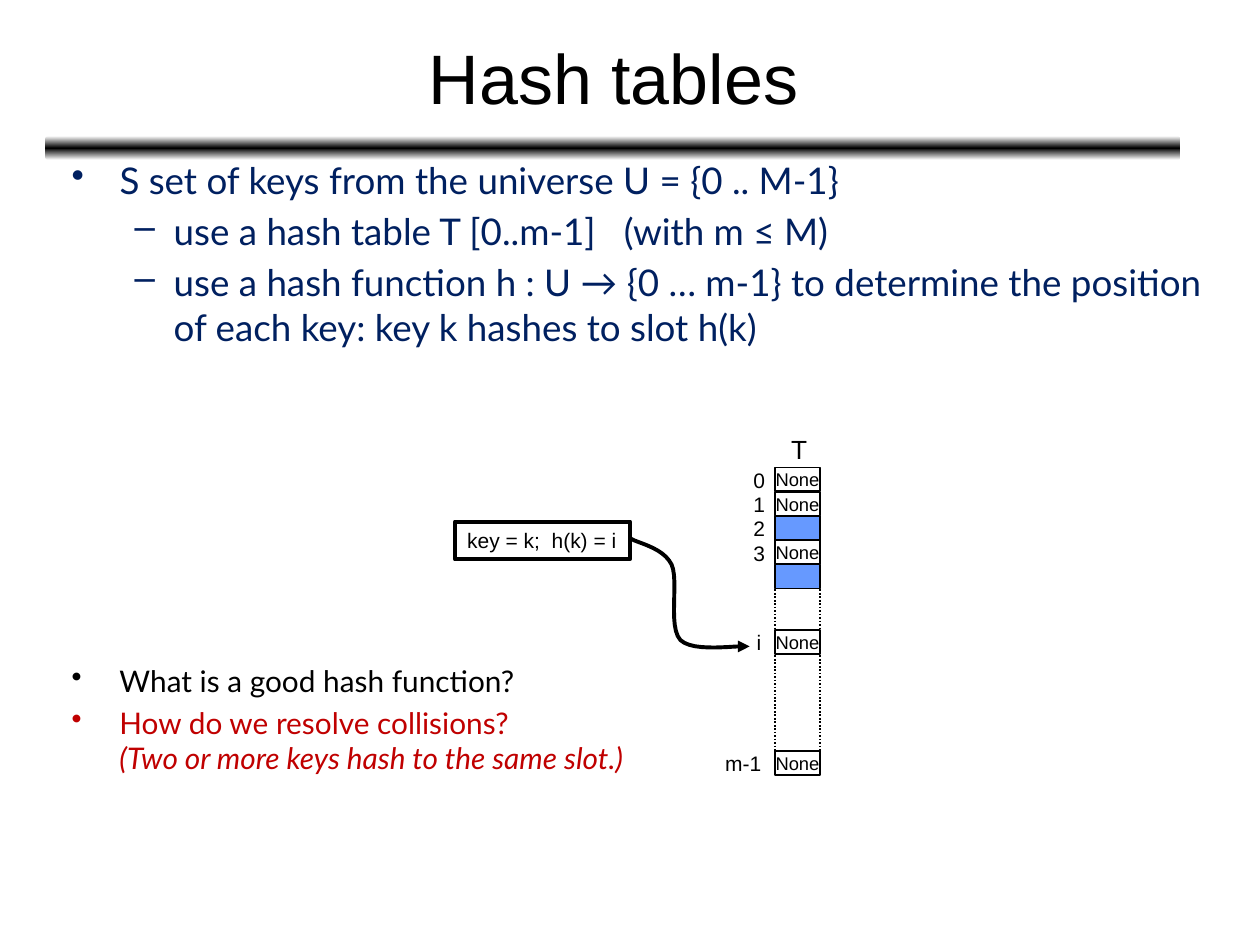
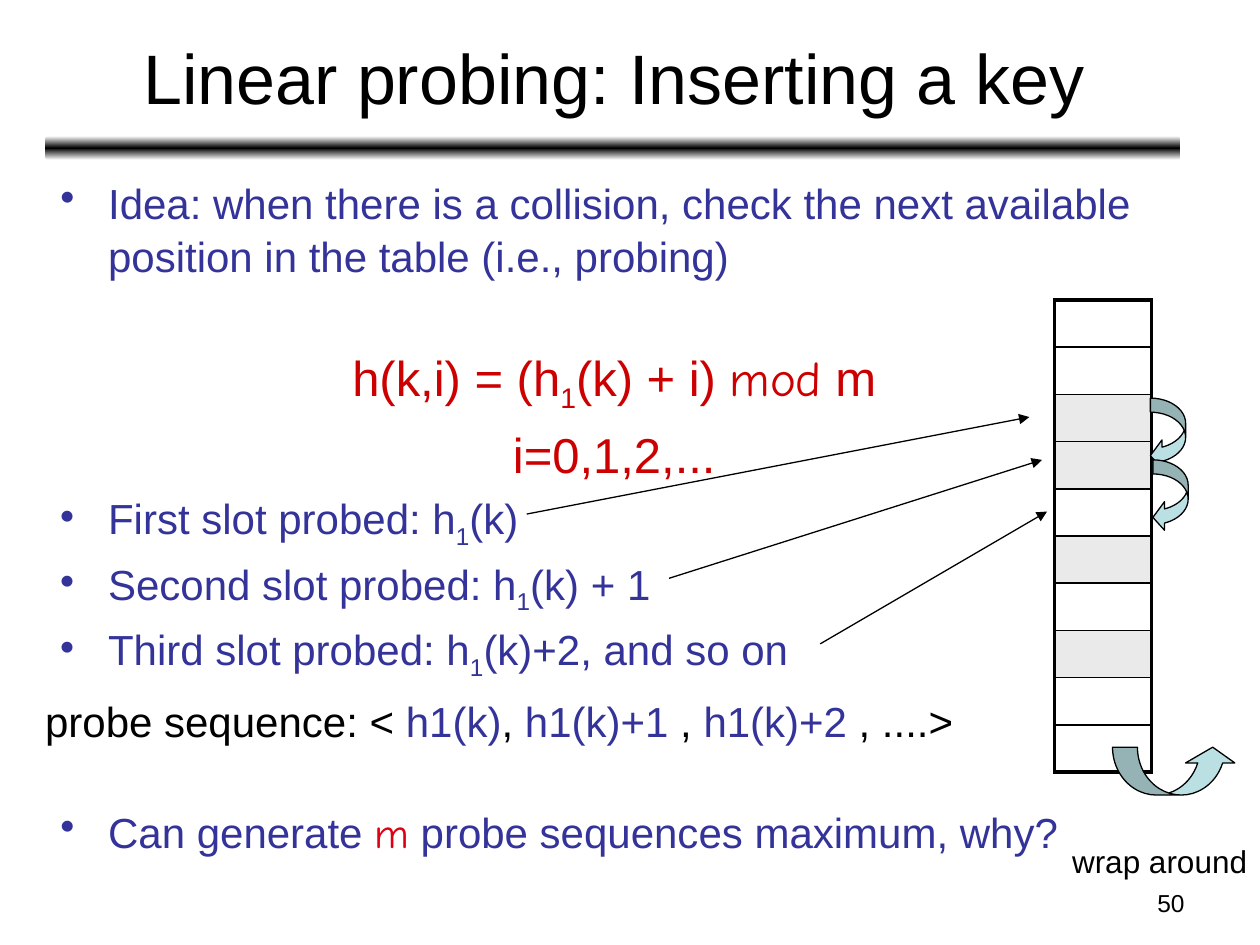
"""Build two lecture slides on hash tables and linear probing."""
import copy
import math
from dataclasses import dataclass

import pptx
import pptx.chart.data
import pptx.dml.color
import pptx.enum.dml
import pptx.enum.shapes
import pptx.enum.text
import pptx.oxml
import pptx.oxml.ns
import pptx.util
from lxml import etree

Inches = pptx.util.Inches
Pt = pptx.util.Pt
RGB = pptx.dml.color.RGBColor.from_string
Align = pptx.enum.text.PP_ALIGN
Anchor = pptx.enum.text.MSO_ANCHOR
Preset = pptx.enum.shapes.MSO_SHAPE
STRAIGHT = pptx.enum.shapes.MSO_CONNECTOR.STRAIGHT
qn = pptx.oxml.ns.qn


@dataclass(frozen=True)
class Theme:
    black: str = "000000"
    white: str = "FFFFFF"
    navy: str = "002060"
    indigo: str = "333399"
    question: str = "C00000"
    formula: str = "CC0000"
    accent: str = "DD0111"
    occupied: str = "6699FF"
    probed: str = "EAEAEA"
    arrow: str = "BBE0E3"
    sans: str = "Arial"
    body: str = "Lato"
    comic: str = "Comic Neue"
    title_size: float = 40
    formula_size: float = 28
    bullet_size: float = 24
    lead_size: float = 21
    note_size: float = 18
    question_size: float = 17
    heading_size: float = 15
    number_size: float = 14
    label_size: float = 12
    slot_size: float = 10.5


theme = Theme()
BULLET_INDENTS = {"•": (0.38, -0.38), "–": (0.81, -0.31)}


def add_text(slide, box, paragraphs, size, color=theme.black, font=theme.sans, align=Align.LEFT,
             bullets="", anchor=Anchor.TOP, wrap=True, inset=0.1, spacing=None, preset=None):
    place = [Inches(length) for length in box]
    shape = slide.shapes.add_shape(preset, *place) if preset else slide.shapes.add_textbox(*place)
    frame = shape.text_frame
    frame.word_wrap = wrap
    frame.vertical_anchor = anchor
    frame.margin_left = frame.margin_right = Inches(inset)
    frame.margin_top = frame.margin_bottom = Inches(inset / 2)
    for index, runs in enumerate(paragraphs):
        paragraph = frame.add_paragraph() if index else frame.paragraphs[0]
        paragraph.alignment = align
        paragraph.line_spacing = spacing
        if index:
            paragraph.space_before = Pt(size * 0.2)
        if bullets:
            properties = paragraph._p.get_or_add_pPr()
            margin, indent = BULLET_INDENTS[bullets[index]]
            properties.set("marL", str(Inches(margin)))
            properties.set("indent", str(Inches(indent)))
            etree.SubElement(properties, qn("a:buChar"), char=bullets[index])
        paragraph.font.size = Pt(size)
        paragraph.font.name = font
        paragraph.font.color.rgb = RGB(color)
        for text, changes in [(run, {}) if isinstance(run, str) else run for run in runs]:
            if text == "\n":
                paragraph.add_line_break()
                continue
            run = paragraph.add_run()
            run.text = text
            if "color" in changes:
                run.font.color.rgb = RGB(changes["color"])
            if "font" in changes:
                run.font.name = changes["font"]
            if "italic" in changes:
                run.font.italic = True
            if "baseline" in changes:
                run._r.get_or_add_rPr().set("baseline", changes["baseline"])
    return shape


def style_line(shape, width, arrow=False, dash=None):
    shape.line.color.rgb = RGB(theme.black)
    shape.line.width = Pt(width)
    if dash:
        shape.line.dash_style = dash
    if arrow:
        etree.SubElement(shape.line._get_or_add_ln(), qn("a:tailEnd"), type="triangle")
    etree.SubElement(shape._element.spPr, qn("a:effectLst"))


presentation = pptx.Presentation()
presentation.slide_width = Inches(10)
presentation.slide_height = Inches(7.5)

slides = []
for title in ("Hash tables", "Linear probing: Inserting a key"):
    slide = presentation.slides.add_slide(presentation.slide_layouts[6])
    band = slide.shapes.add_shape(Preset.ROUNDED_RECTANGLE, Inches(0.36), Inches(1.08), Inches(9.01), Inches(0.19))
    band.shadow.inherit = False
    band.line.fill.background()
    band.fill.gradient()
    band.fill.gradient_angle = 90
    stop_list = band._element.spPr.find(".//" + qn("a:gsLst"))
    stop_list.append(copy.deepcopy(stop_list[0]))
    for stop, position, color in zip(band.fill.gradient_stops, (0, 0.5, 1), (theme.white, theme.black, theme.white)):
        stop.position = position
        stop.color.rgb = RGB(color)
    add_text(slide, (0.37, 0.11, 9, 0.99), [[title]], theme.title_size, align=Align.CENTER, anchor=Anchor.MIDDLE)
    slides.append(slide)
hashing, probing = slides

add_text(hashing, (0.47, 1.2, 9.29, 1.7), [
    ["S set of keys from the universe U = {0 .. M-1}"],
    ["use a hash table T [0..m-1]   (with m ≤ M)"],
    ["use a hash function h : U → {0 … m-1} to determine the position of each key: key k hashes to slot h(k)"],
], theme.lead_size, theme.navy, theme.body, bullets="•––")
add_text(hashing, (0.47, 5.21, 5, 1.1), [
    [("What is a good hash function?", {"color": theme.black})],
    ["How do we resolve collisions?", "\n", ("(Two or more keys hash to the same slot.)", {"italic": True})],
], theme.question_size, theme.question, theme.body, bullets="••")

slot_left, slot_width, slot_height, first_slot = 6.15, 0.36, 0.19, 3.71
for x in (slot_left, slot_left + slot_width):
    edge = hashing.shapes.add_connector(STRAIGHT, Inches(x), Inches(4.65), Inches(x), Inches(5.98))
    style_line(edge, 1, dash=pptx.enum.dml.MSO_LINE.ROUND_DOT)
add_text(hashing, (6.18, 3.39, 0.29, 0.35), [["T"]], theme.heading_size, wrap=False)
slot_tops = [first_slot + 0.1925 * row for row in range(5)] + [5, 5.96]
for top, label, occupied in zip(slot_tops, ("0", "1", "2", "3", "", "i", "m-1"), (0, 0, 1, 0, 1, 0, 0)):
    slot = add_text(hashing, (slot_left, top, slot_width, slot_height), [] if occupied else [["None"]],
                    theme.slot_size, align=Align.CENTER, anchor=Anchor.MIDDLE, wrap=False, inset=0,
                    preset=Preset.RECTANGLE)
    slot.fill.solid()
    slot.fill.fore_color.rgb = RGB(theme.occupied if occupied else theme.white)
    style_line(slot, 1)
    if label:
        label_left = 5.18 if label.isdigit() else 5.15
        add_text(hashing, (label_left, top - 0.05, 0.99, 0.3), [[label]], theme.label_size, align=Align.RIGHT)

key_box = add_text(hashing, (3.61, 4.14, 1.39, 0.3), [["key = k;  h(k) = i"]], theme.label_size, wrap=False,
                   preset=Preset.RECTANGLE)
key_box.fill.background()
style_line(key_box, 2.25)

curves = [
    [(5, 4.27), (5.05, 4.31), (5.26, 4.34), (5.33, 4.48)],
    [(5.33, 4.48), (5.39, 4.61), (5.3, 4.97), (5.4, 5.08)],
    [(5.4, 5.08), (5.51, 5.18), (5.83, 5.12), (5.95, 5.13)],
]
steps = 12
curve_points = []
for controls in curves:
    for step in range(1, steps + 1):
        t = step / steps
        weights = [math.comb(3, k) * t ** k * (1 - t) ** (3 - k) for k in range(4)]
        curve_points.append(tuple(
            Inches(sum(weight * point[axis] for weight, point in zip(weights, controls))) for axis in (0, 1)))
builder = hashing.shapes.build_freeform(Inches(5), Inches(4.27))
builder.add_line_segments(curve_points, close=False)
hash_arrow = builder.convert_to_shape()
hash_arrow.fill.background()
style_line(hash_arrow, 2.25, arrow=True)

subscript = ("1", {"baseline": "-25000"})
add_text(probing, (0.38, 1.34, 8.99, 0.95),
         [["Idea: when there is a collision, check the next available position in the table (i.e., probing)"]],
         theme.bullet_size, theme.indigo, bullets="•", spacing=1.05)
add_text(probing, (0.38, 2.71, 8.99, 1.15), [
    ["h(k,i) = (h", subscript, "(k) + i) ", ("mod", {"font": theme.comic}), " m"],
    ["i=0,1,2,..."],
], theme.formula_size, theme.formula, align=Align.CENTER)
add_text(probing, (0.38, 3.86, 7, 1.6), [
    ["First slot probed: h", subscript, "(k)"],
    ["Second slot probed: h", subscript, "(k) + 1"],
    ["Third slot probed: h", subscript, "(k)+2, and so on"],
], theme.bullet_size, theme.indigo, bullets="•••")
add_text(probing, (0.38, 6.35, 8.99, 0.5),
         [["Can generate ", ("m", {"font": theme.comic, "color": theme.accent}), " probe sequences maximum, why?"]],
         theme.bullet_size, theme.indigo, bullets="•")
key_color = {"color": theme.indigo}
add_text(probing, (0.26, 5.47, 7.41, 0.5),
         [["probe sequence: < ", ("h1(k)", key_color), ", ", ("h1(k)+1", key_color), " , ",
           ("h1(k)+2", key_color), " , ....>"]], theme.bullet_size, wrap=False)

row_count = 10
table = probing.shapes.add_table(row_count, 1, Inches(8.37), Inches(2.38), Inches(0.77), Inches(3.75)).table
table.first_row = table.horz_banding = False
for index, row in enumerate(table.rows):
    row.height = Inches(3.75 / row_count)
    cell = row.cells[0]
    cell.margin_top = cell.margin_bottom = 0
    top_width = 2.25 if index == 0 else 1
    bottom_width = 2.25 if index == row_count - 1 else 1
    for side, width in zip("LRTB", (2.25, 2.25, top_width, bottom_width)):
        border = etree.SubElement(cell._tc.get_or_add_tcPr(), qn("a:ln" + side), w=str(Pt(width)))
        etree.SubElement(etree.SubElement(border, qn("a:solidFill")), qn("a:srgbClr"), val=theme.black)
    if index in (2, 3, 5, 7):
        cell.fill.solid()
        cell.fill.fore_color.rgb = RGB(theme.probed)
    else:
        cell.fill.background()

for preset, box, adjustments in (
    (Preset.CURVED_LEFT_ARROW, (9.13, 3.16, 0.28, 0.57), (0.4, 0.81, 0.33)),
    (Preset.CURVED_LEFT_ARROW, (9.15, 3.65, 0.28, 0.57), (0.4, 0.81, 0.33)),
    (Preset.CURVED_UP_ARROW, (8.83, 5.93, 0.99, 0.38), (0.52, 1.03, 0.33)),
):
    jump = probing.shapes.add_shape(preset, *[Inches(length) for length in box])
    for index, value in enumerate(adjustments):
        jump.adjustments[index] = value
    jump.fill.solid()
    jump.fill.fore_color.rgb = RGB(theme.arrow)
    style_line(jump, 0.75)

for ends in ((4.18, 4.08, 8.17, 3.31), (5.31, 4.59, 8.27, 3.65), (6.51, 5.11, 8.31, 4.06)):
    pointer = probing.shapes.add_connector(STRAIGHT, *[Inches(length) for length in ends])
    style_line(pointer, 0.75, arrow=True)

add_text(probing, (8.41, 6.63, 1.59, 0.4), [["wrap around"]], theme.note_size, wrap=False)
add_text(probing, (7.17, 7, 2.33, 0.35), [["50"]], theme.number_size, align=Align.RIGHT)

presentation.save("out.pptx")
